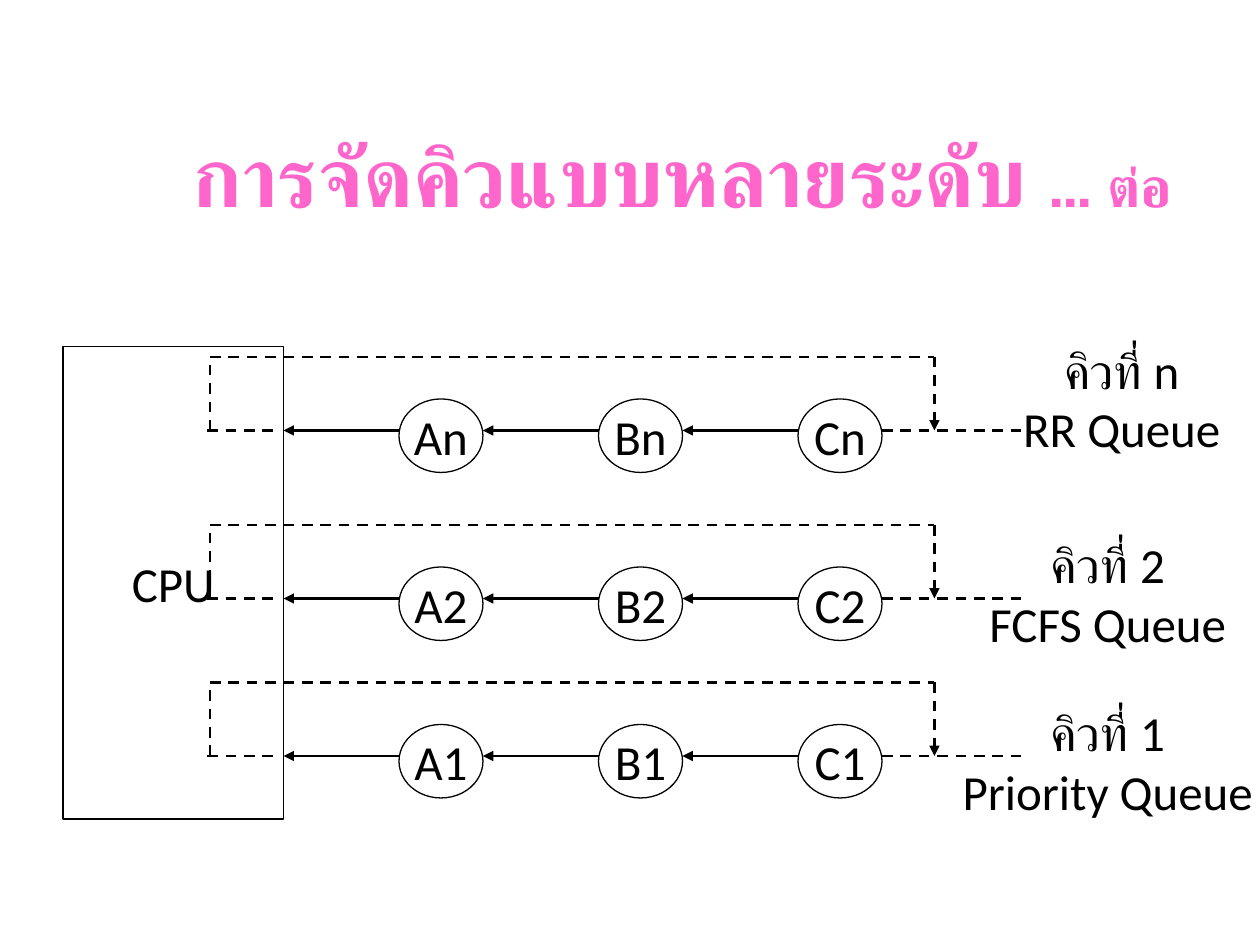
import pptx
import pptx.util
import pptx.dml.color
import pptx.enum.dml
import pptx.enum.shapes
import pptx.enum.text
import pptx.oxml
import pptx.oxml.ns

Pt = pptx.util.Pt
MIDDLE = pptx.enum.text.MSO_ANCHOR.MIDDLE
CENTER = pptx.enum.text.PP_ALIGN.CENTER
BLACK = "000000"


def write(shape, text, sizes=(28,), color=BLACK, bold=False, wrap=False, anchor=MIDDLE):
    """Fill a shape with centred text; each paragraph's runs are split by '|'."""
    frame = shape.text_frame
    frame.text = text.replace("|", "")
    frame.auto_size = pptx.enum.text.MSO_AUTO_SIZE.NONE
    frame.word_wrap = wrap
    frame.vertical_anchor = anchor
    for paragraph, line in zip(frame.paragraphs, text.split("\n")):
        paragraph.alignment = CENTER
        parts = line.split("|")
        paragraph.runs[0].text = parts[0]
        for part in parts[1:]:
            paragraph.add_run().text = part
        for run, size in zip(paragraph.runs, sizes):
            run.font.name = "Calibri"
            run.font.size = Pt(size)
            run.font.bold = bold
            run.font.color.rgb = pptx.dml.color.RGBColor.from_string(color)


def connect(shapes, start, end, dashed=False, arrow=None):
    """Draw a line; arrow is None, 'headEnd' (at start) or 'tailEnd' (at end)."""
    connector = shapes.add_connector(
        pptx.enum.shapes.MSO_CONNECTOR.STRAIGHT, *[Pt(v) for v in (*start, *end)])
    connector.line.color.rgb = pptx.dml.color.RGBColor.from_string(BLACK)
    connector.line.width = Pt(1.5)
    if dashed:
        connector.line.dash_style = pptx.enum.dml.MSO_LINE.DASH
    properties = connector.line._get_or_add_ln()
    if arrow:
        element = pptx.oxml.parse_xml(
            f'<a:{arrow} {pptx.oxml.ns.nsdecls("a")} type="triangle"/>')
        properties.append(element)
    properties.addnext(pptx.oxml.parse_xml(
        f'<a:effectLst {pptx.oxml.ns.nsdecls("a")}/>'))


presentation = pptx.Presentation()
presentation.slide_width, presentation.slide_height = Pt(720), Pt(540)
slide = presentation.slides.add_slide(presentation.slide_layouts[5])

# Title
title = slide.shapes.title
title.left, title.top, title.width, title.height = Pt(84), Pt(78), Pt(612), Pt(54)
write(title, "การจัดคิวแบบหลายระดับ |… ต่อ", (48, 32), "FF66CC", True, True,
      pptx.enum.text.MSO_ANCHOR.BOTTOM)

# CPU box and, per queue, its line height, suffix and label
RECTANGLE = pptx.enum.shapes.MSO_SHAPE.RECTANGLE
OVAL = pptx.enum.shapes.MSO_SHAPE.OVAL
outlined = [(slide.shapes, RECTANGLE, "CPU", 36, 198, 126, 270)]
queues = [
    (246, "n", "RR Queue", (587, 207, 108, 42)),
    (342, "2", "FCFS Queue", (594, 318, 78, 42)),
    (432, "1", "Priority Queue", (594, 414, 78, 42)),
]
cpu_edge, first_job, job_step, job_width, job_height = 162, 228, 114, 48, 42
loop_left, loop_right, loop_rise = 120, 534, 42

# Queue lines
for y, suffix, name, label_box in queues:
    shapes = slide.shapes.add_group_shape().shapes
    arrow_start = cpu_edge
    for index, letter in enumerate("ABC"):
        job_left = first_job + index * job_step
        connect(shapes, (arrow_start, y), (job_left, y), arrow="headEnd")
        arrow_start = job_left + job_width
        outlined.append((shapes, OVAL, letter + suffix, job_left, y - 18,
                         job_width, job_height))
    connect(shapes, (arrow_start, y), (588, y), dashed=True)
    connect(shapes, (156, y), (114, y), dashed=True)

    # Return loop to the end of the queue
    top = y - loop_rise
    connect(shapes, (loop_left, y), (loop_left, top), dashed=True)
    connect(shapes, (loop_left, top), (loop_right, top), dashed=True)
    connect(shapes, (loop_right, top), (loop_right, y), dashed=True, arrow="tailEnd")

    label = slide.shapes.add_textbox(*[Pt(v) for v in label_box])
    write(label, f"คิวที่ {suffix}\n{name}")

# Outlined boxes and jobs
for shapes, kind, text, *box in outlined:
    shape = shapes.add_shape(kind, *[Pt(v) for v in box])
    shape.shadow.inherit = False
    shape.fill.background()
    shape.line.color.rgb = pptx.dml.color.RGBColor.from_string(BLACK)
    shape.line.width = Pt(0.74)
    write(shape, text)

presentation.save("out.pptx")
